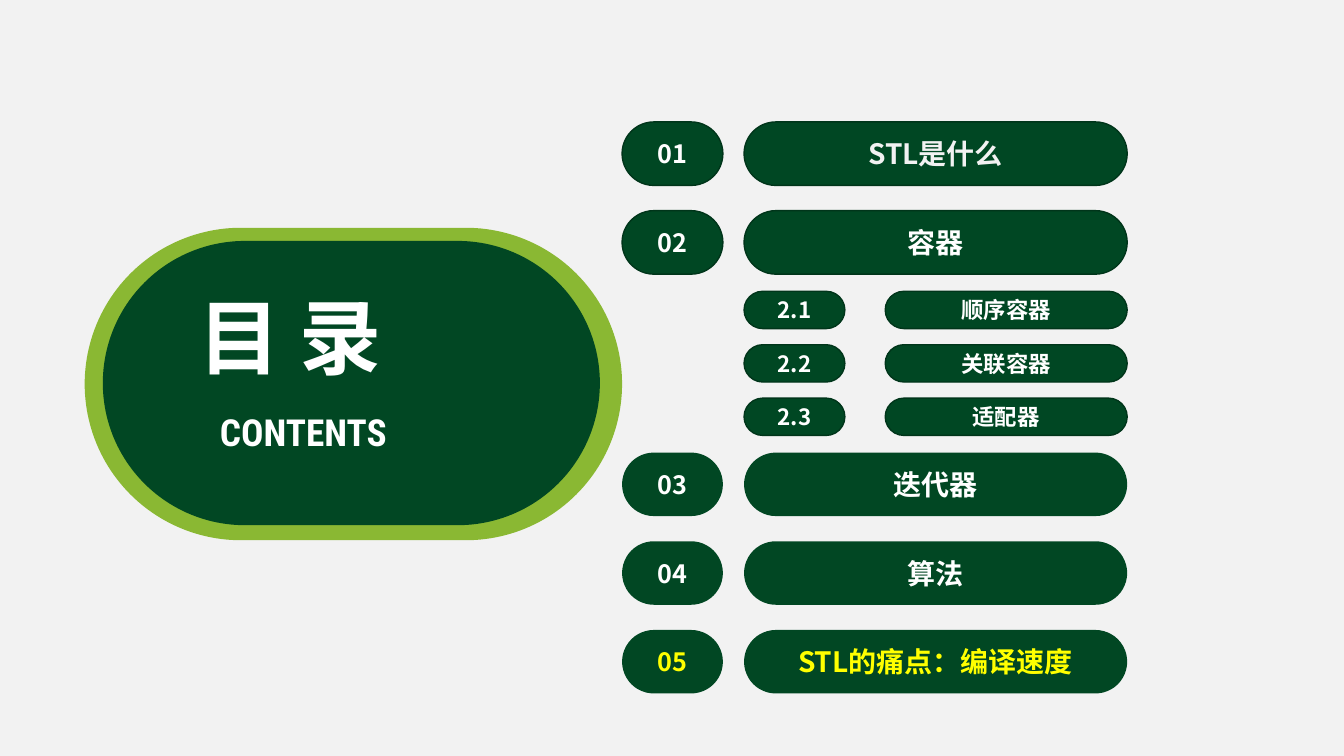
import pptx
import pptx.util
import pptx.dml.color
import pptx.enum.shapes
import pptx.enum.text
import pptx.oxml
import pptx.oxml.ns

Inches = pptx.util.Inches
RGBColor = pptx.dml.color.RGBColor

BACKGROUND = RGBColor(0xF2, 0xF2, 0xF2)
LIME = RGBColor(0x8A, 0xB8, 0x33)
GREEN = RGBColor(0x01, 0x47, 0x23)
OUTLINED_GREEN = RGBColor(0x00, 0x47, 0x23)
OUTLINE = RGBColor(0x00, 0x35, 0x1A)
WHITE = RGBColor(0xFF, 0xFF, 0xFF)
YELLOW = RGBColor(0xFF, 0xFF, 0x00)

CHINESE_FONT = "Noto Sans CJK SC"
ENGLISH_FONT = "Roboto Condensed"

# Number, heading, text colour, outlined
CHAPTERS = [
    ("01", "STL是什么", BACKGROUND, True),
    ("02", "容器", WHITE, True),
    ("03", "迭代器", WHITE, False),
    ("04", "算法", WHITE, False),
    ("05", "STL的痛点：编译速度", YELLOW, False),
]
SECTIONS = [("2.1", "顺序容器"), ("2.2", "关联容器"), ("2.3", "适配器")]

CHAPTER_PITCH = 0.88
SECTION_PITCH = 0.53
NUMBER_WIDTH = 1


def write(shape, text, size, color, font_name=CHINESE_FONT):
    """Put one bold, centred line of text into a shape."""
    paragraph = shape.text_frame.paragraphs[0]
    paragraph.text = text
    paragraph.alignment = pptx.enum.text.PP_ALIGN.CENTER
    font = paragraph.font
    font.size = pptx.util.Pt(size)
    font.bold = True
    font.name = font_name
    font.color.rgb = color
    # East Asian typeface follows the Latin one
    latin = next(paragraph._p.iter(pptx.oxml.ns.qn("a:latin")))
    latin.addnext(pptx.oxml.parse_xml(
        f'<a:ea {pptx.oxml.ns.nsdecls("a")} typeface="{font_name}"/>'))


def add_capsule(slide, left, top, width, height, fill, outlined=False):
    shape = slide.shapes.add_shape(
        pptx.enum.shapes.MSO_SHAPE.ROUNDED_RECTANGLE,
        Inches(left), Inches(top), Inches(width), Inches(height))
    shape.adjustments[0] = 0.5
    shape.shadow.inherit = False
    shape.fill.solid()
    shape.fill.fore_color.rgb = fill
    if outlined:
        shape.line.color.rgb = OUTLINE
        shape.line.width = pptx.util.Pt(1)
    else:
        shape.line.fill.background()
    return shape


def add_label(slide, box, text, size, color, outlined):
    fill = OUTLINED_GREEN if outlined else GREEN
    shape = add_capsule(slide, *box, fill, outlined)
    shape.text_frame.vertical_anchor = pptx.enum.text.MSO_ANCHOR.MIDDLE
    write(shape, text, size, color)


def add_title_badge(slide, left, top, width, height):
    """Nested capsules with the title and its English subtitle."""
    add_capsule(slide, left, top, width, height, LIME)
    add_capsule(slide, left + 0.18, top + 0.13, width - 0.4, height - 0.28, GREEN)

    title = slide.shapes.title
    slide.shapes._spTree.append(title._element)  # bring in front of the capsules
    title.left, title.top = Inches(left + 0.99), Inches(top + 0.53)
    title.width, title.height = Inches(2.09), Inches(1.09)
    write(title, "目 录", 58.6, WHITE)

    subtitle = slide.shapes.add_textbox(
        Inches(left + 1.04), Inches(top + 1.75), Inches(2.26), Inches(0.55))
    write(subtitle, "CONTENTS", 26.6, WHITE, ENGLISH_FONT)

    for shape in (title, subtitle):
        shape.text_frame.word_wrap = False
        shape.text_frame.auto_size = pptx.enum.text.MSO_AUTO_SIZE.NONE
        shape.text_frame.vertical_anchor = pptx.enum.text.MSO_ANCHOR.TOP


def add_chapters(slide, left, top, width):
    """Chapter rows, with room for the sections after the second."""
    height, heading_offset = 0.63, 1.21
    for index, (number, heading, color, outlined) in enumerate(CHAPTERS):
        row_top = top + index * CHAPTER_PITCH + (1.52 if index >= 2 else 0)
        add_label(slide, (left, row_top, NUMBER_WIDTH, height),
                  number, 18, WHITE if index == 0 else color, outlined)
        add_label(slide, (left + heading_offset, row_top, width - heading_offset, height),
                  heading, 20, color, outlined)


def add_sections(slide, left, top, width):
    """Smaller rows listing the sections of chapter 02."""
    height, heading_offset = 0.37, 1.4
    for index, (number, heading) in enumerate(SECTIONS):
        row_top = top + index * SECTION_PITCH
        add_label(slide, (left, row_top, NUMBER_WIDTH, height), number, 16, WHITE, True)
        add_label(slide, (left + heading_offset, row_top, width - heading_offset, height),
                  heading, 16, WHITE, True)


def main():
    presentation = pptx.Presentation()
    presentation.slide_width = Inches(13.33)
    presentation.slide_height = Inches(7.5)
    slide = presentation.slides.add_slide(presentation.slide_layouts[5])
    slide.background.fill.solid()
    slide.background.fill.fore_color.rgb = BACKGROUND

    add_title_badge(slide, 0.84, 2.26, 5.33, 3.1)
    add_chapters(slide, 6.17, 1.21, 5.01)
    add_sections(slide, 7.38, 2.89, 3.8)
    presentation.save("out.pptx")


if __name__ == "__main__":
    main()
